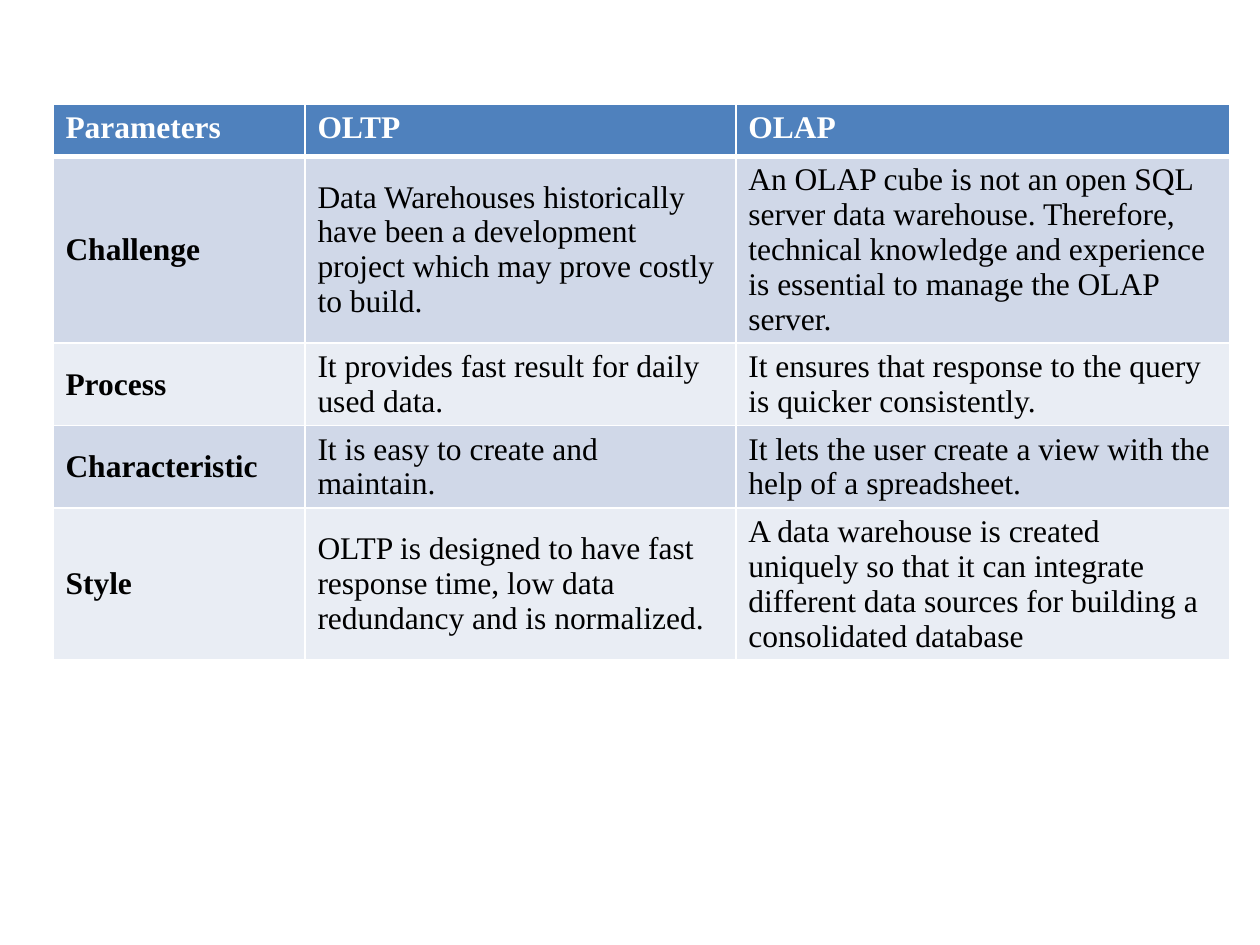
from dataclasses import dataclass

from lxml.etree import SubElement
from pptx import Presentation
from pptx.dml.color import RGBColor as Rgb
from pptx.enum.text import MSO_ANCHOR as Anchor
from pptx.oxml.ns import qn
from pptx.table import _Cell as Cell
from pptx.util import Inches, Pt

COLORS = {
    "header": "4F81BD",
    "odd": "D0D8E8",
    "even": "E9EDF4",
    "light": "FFFFFF",
    "dark": "000000",
}
FONT = "Times New Roman"
COLUMN_WIDTHS = (2, 3.42, 3.92)
ROW_HEIGHT = 0.41
LEFT, TOP, TABLE_HEIGHT = 0.42, 0.83, 4.71


@dataclass(frozen=True)
class Comparison:
    """One row that sets OLTP against OLAP."""
    parameter: str
    oltp: str
    olap: str


COMPARISONS = (
    Comparison("Parameters", "OLTP", "OLAP"),
    Comparison(
        "Challenge",
        "Data Warehouses historically have been a development project "
        "which may prove costly to build.",
        "An OLAP cube is not an open SQL server data warehouse. Therefore, "
        "technical knowledge and experience is essential to manage the OLAP server.",
    ),
    Comparison(
        "Process",
        "It provides fast result for daily used data.",
        "It ensures that response to the query is quicker consistently.",
    ),
    Comparison(
        "Characteristic",
        "It is easy to create and maintain.",
        "It lets the user create a view with the help of a spreadsheet.",
    ),
    Comparison(
        "Style",
        "OLTP is designed to have fast response time, low data redundancy "
        "and is normalized.",
        "A data warehouse is created uniquely so that it can integrate "
        "different data sources for building a consolidated database",
    ),
)


def add_borders(cell: Cell, top: float, bottom: float) -> None:
    """Draw white borders, one point wide at the sides."""
    properties = cell._tc.get_or_add_tcPr()
    for side, width in (("L", 1), ("R", 1), ("T", top), ("B", bottom)):
        line = SubElement(properties, qn(f"a:ln{side}"), w=str(Pt(width)))
        fill = SubElement(line, qn("a:solidFill"))
        SubElement(fill, qn("a:srgbClr"), val=COLORS["light"])


def fill_cell(cell: Cell, wording: str, row: int, column: int) -> None:
    """Write and format a cell according to its place in the table."""
    is_header = row == 0
    add_borders(cell, top=3 if row == 1 else 1, bottom=3 if is_header else 1)
    band = "header" if is_header else "odd" if row % 2 else "even"
    cell.fill.solid()
    cell.fill.fore_color.rgb = Rgb.from_string(COLORS[band])
    cell.vertical_anchor = Anchor.TOP if is_header else Anchor.MIDDLE
    cell.text_frame.text = wording
    font = cell.text_frame.paragraphs[0].runs[0].font
    font.name, font.size = FONT, Pt(18)
    font.bold = is_header or column == 0
    font.color.rgb = Rgb.from_string(COLORS["light" if is_header else "dark"])


def build() -> None:
    """Build the slide with the comparison table."""
    deck = Presentation()
    deck.slide_width, deck.slide_height = Inches(10), Inches(7.5)
    slide = deck.slides.add_slide(deck.slide_layouts[6])
    frame = slide.shapes.add_table(
        len(COMPARISONS), len(COLUMN_WIDTHS), Inches(LEFT), Inches(TOP),
        Inches(sum(COLUMN_WIDTHS)), Inches(ROW_HEIGHT * len(COMPARISONS)),
    )
    table = frame.table
    for column, width in zip(table.columns, COLUMN_WIDTHS):
        column.width = Inches(width)
    for row, entry in enumerate(COMPARISONS):
        for column, wording in enumerate((entry.parameter, entry.oltp, entry.olap)):
            fill_cell(table.cell(row, column), wording, row, column)
    frame.height = Inches(TABLE_HEIGHT)
    deck.save("out.pptx")


build()
